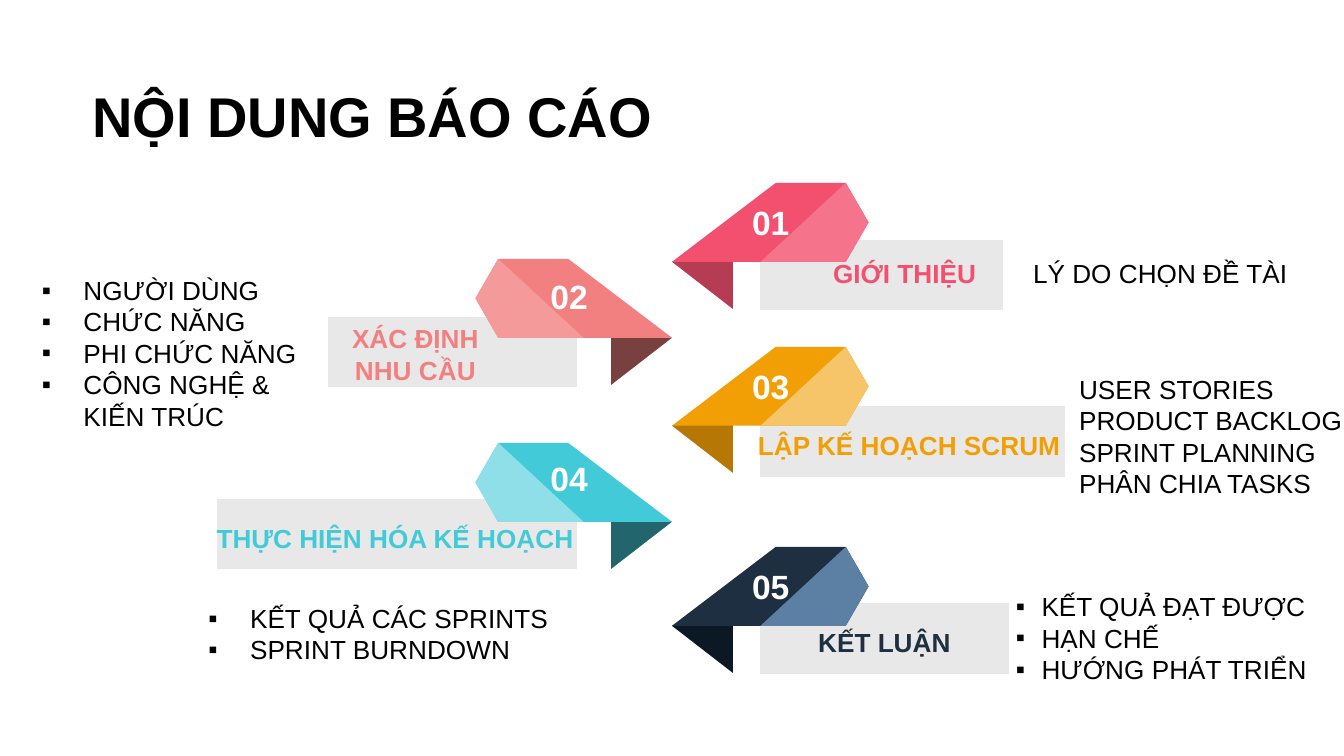
from dataclasses import dataclass

from lxml.etree import SubElement
from pptx import Presentation
from pptx.dml.color import RGBColor
from pptx.enum.text import MSO_ANCHOR, PP_ALIGN
from pptx.oxml.ns import qn
from pptx.util import Pt

BLACK = RGBColor(0x00, 0x00, 0x00)
WHITE = RGBColor(0xFF, 0xFF, 0xFF)
GREY = RGBColor(0xE8, 0xE8, 0xE8)
PINK, PINK_DARK, PINK_LIGHT = map(RGBColor.from_string, ("F2506E", "B63C53", "F5738B"))
CORAL, CORAL_DARK, CORAL_LIGHT = map(RGBColor.from_string, ("F28080", "794040", "F59A9A"))
AMBER, AMBER_DARK, AMBER_LIGHT = map(RGBColor.from_string, ("F29F05", "B67704", "F7C569"))
CYAN, CYAN_DARK, CYAN_LIGHT = map(RGBColor.from_string, ("43CAD9", "22656D", "8EDFE8"))
NAVY, NAVY_DARK, NAVY_LIGHT = map(RGBColor.from_string, ("1D2F40", "0C1823", "5B80A3"))

FONT = "Arial"
CENTRE = 360
BAR_HEIGHT = 37.8
NUMBER_SIZE = (81.4, 32.4)
FOLD = [(32.6, 31), (0, 42.3), (32.6, 67.5)]
BAND = [(55.6, 0), (0, 42.3), (93.1, 42.3), (105.3, 21.2), (93.1, 0)]
FLAP = [(93.1, 0), (47.4, 42.3), (93.1, 42.3), (105.3, 21.2)]


@dataclass
class Step:
    """One numbered step: its ribbon, grey bar and heading."""
    number: str
    heading: str
    side: int
    top: float
    number_top: float
    bar: tuple
    heading_box: tuple
    colours: tuple


STEPS = [
    Step("01", "GIỚI THIỆU", 1, 98, 103, (407.4, 128.4, 130),
         (438.5, 133.9, 92.2, 25.2), (PINK, PINK_DARK, PINK_LIGHT)),
    Step("02", "XÁC ĐỊNH NHU CẦU", -1, 138.7, 142.6, (175.7, 169.8, 133.2),
         (176.4, 177.1, 92.2, 25.2), (CORAL, CORAL_DARK, CORAL_LIGHT)),
    Step("03", "LẬP KẾ HOẠCH SCRUM", 1, 185.8, 190.8, (407.4, 217.5, 163.4),
         (393.1, 226.1, 187.9, 25.2), (AMBER, AMBER_DARK, AMBER_LIGHT)),
    Step("04", "THỰC HIỆN HÓA KẾ HOẠCH", -1, 237.3, 239.8, (116.5, 267.3, 192.4),
         (100.1, 275.8, 223.2, 25.2), (CYAN, CYAN_DARK, CYAN_LIGHT)),
    Step("05", "KẾT LUẬN", 1, 293, 298, (407.4, 323.1, 133.2),
         (427.7, 331.2, 92.2, 25.2), (NAVY, NAVY_DARK, NAVY_LIGHT)),
]

DETAILS = [
    ((20.9, 160.6, 154.8, 56.9), 23.8, 22.3,
     ["NGƯỜI DÙNG", "CHỨC NĂNG", "PHI CHỨC NĂNG", "CÔNG NGHỆ & KIẾN TRÚC"]),
    ((110.2, 320.4, 192.2, 38.2), 23.8, 22.3,
     ["KẾT QUẢ CÁC SPRINTS", "SPRINT BURNDOWN"]),
    ((543.6, 322.6, 184.3, 38.2), 14.4, 13.7,
     ["KẾT QUẢ ĐẠT ĐƯỢC", "HẠN CHẾ", "HƯỚNG PHÁT TRIỂN"]),
]


def add_text(page, box, lines, size, colour, bold=False, align=PP_ALIGN.LEFT, inset=7.2):
    """Place a middle-anchored text box and return its paragraphs."""
    frame = page.shapes.add_textbox(*map(Pt, box)).text_frame
    frame.word_wrap = True
    frame.vertical_anchor = MSO_ANCHOR.MIDDLE
    frame.margin_left = frame.margin_right = Pt(inset)
    frame.margin_top = frame.margin_bottom = Pt(inset)
    for index, line in enumerate(lines):
        para = frame.add_paragraph() if index else frame.paragraphs[0]
        para.alignment = align
        span = para.add_run()
        span.text = line
        span.font.name = FONT
        span.font.size = Pt(size)
        span.font.bold = bold
        span.font.color.rgb = colour
    return frame.paragraphs


def add_bullets(page, box, indent, hang, lines):
    """Place a list with square bullets and a hanging indent."""
    for para in add_text(page, box, lines, 14, BLACK, inset=0):
        props = para._p.get_or_add_pPr()
        props.set("marL", str(Pt(indent)))
        props.set("indent", str(-Pt(hang)))
        SubElement(props, qn("a:buFont")).set("typeface", FONT)
        SubElement(props, qn("a:buChar")).set("char", "▪")


def add_polygon(page, points, colour):
    """Draw a closed outline filled with one colour."""
    start, *rest = [(Pt(x), Pt(y)) for x, y in points]
    builder = page.shapes.build_freeform(*start)
    builder.add_line_segments(rest, close=True)
    shape = builder.convert_to_shape()
    shape.shadow.inherit = False
    shape.fill.solid()
    shape.fill.fore_color.rgb = colour
    shape.line.fill.background()


def add_bar(page, left, top, width):
    """Draw the grey bar behind a heading."""
    right, bottom = left + width, top + BAR_HEIGHT
    add_polygon(page, [(left, top), (left, bottom), (right, bottom), (right, top)], GREY)


def add_ribbon(page, top, side, colours):
    """Draw a folded ribbon pointing at the centre line."""
    band, fold, flap = colours
    for outline, colour in ((FOLD, fold), (BAND, band), (FLAP, flap)):
        add_polygon(page, [(CENTRE + side * x, top + y) for x, y in outline], colour)


def add_step(page, step):
    """Place one step with its bar, heading, ribbon and number."""
    add_bar(page, *step.bar)
    add_text(page, step.heading_box, [step.heading], 14, step.colours[0], True, PP_ALIGN.CENTER)
    add_ribbon(page, step.top, step.side, step.colours)
    left = 372.2 if step.side > 0 else 264.2
    add_text(page, (left, step.number_top, *NUMBER_SIZE), [step.number], 18, WHITE, True,
             PP_ALIGN.CENTER)


def main():
    """Build the contents slide and save it."""
    deck = Presentation()
    deck.slide_width, deck.slide_height = Pt(720), Pt(405)
    page = deck.slides.add_slide(deck.slide_layouts[6])
    add_text(page, (38.9, 42.5, 321.1, 38.2), ["NỘI DUNG BÁO CÁO"], 30, BLACK, True,
             PP_ALIGN.CENTER)
    for step in STEPS:
        add_step(page, step)
    for detail in DETAILS:
        add_bullets(page, *detail)
    add_text(page, (519.8, 130.3, 169.9, 32.4), ["LÝ DO CHỌN ĐỀ TÀI"], 14, BLACK,
             align=PP_ALIGN.RIGHT, inset=0)
    add_text(page, (571, 202.3, 186.5, 62.6),
             ["USER STORIES", "PRODUCT BACKLOG", "SPRINT PLANNING", "PHÂN CHIA TASKS"],
             14, BLACK)
    deck.save("out.pptx")


if __name__ == "__main__":
    main()
